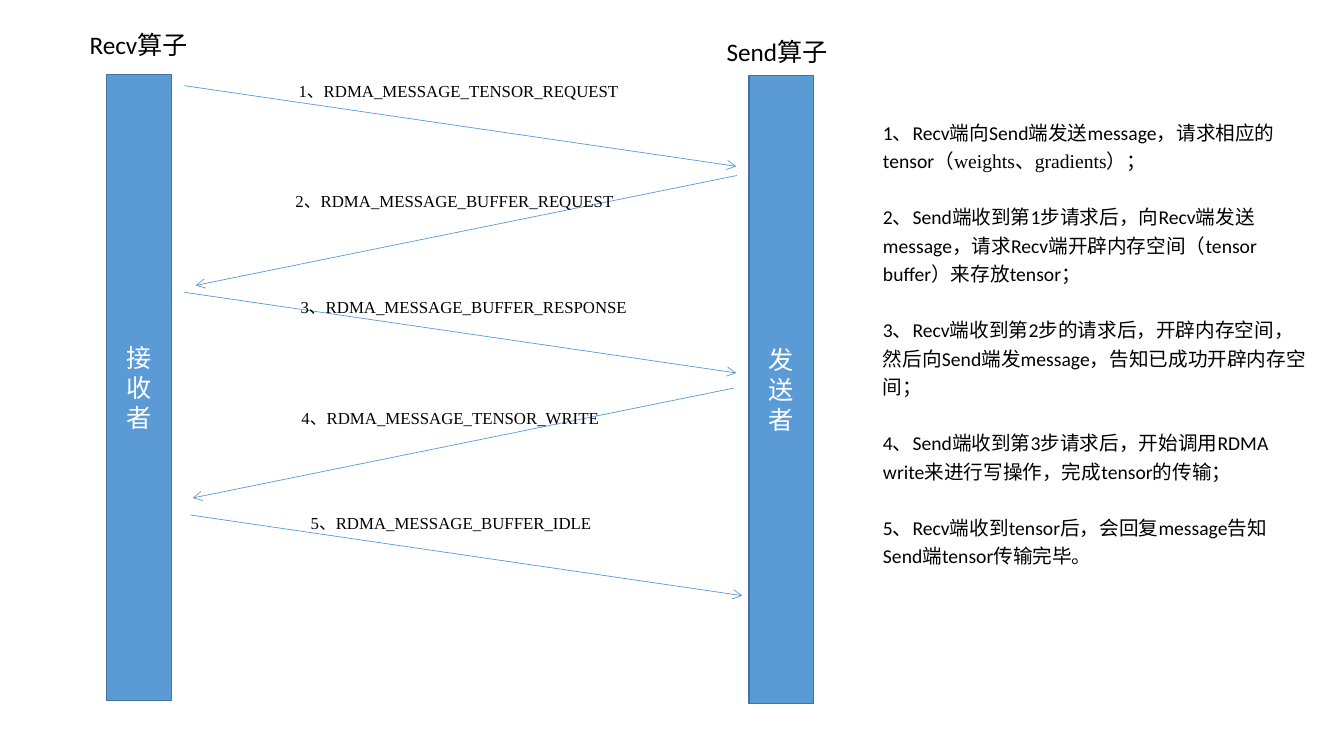
from lxml import etree
from pptx import Presentation
from pptx.dml.color import RGBColor
from pptx.enum.shapes import MSO_CONNECTOR, MSO_SHAPE
from pptx.enum.text import MSO_ANCHOR, MSO_AUTO_SIZE, PP_ALIGN
from pptx.oxml.ns import qn
from pptx.util import Pt

RECT, STRAIGHT = MSO_SHAPE.RECTANGLE, MSO_CONNECTOR.STRAIGHT
TOP, MIDDLE = MSO_ANCHOR.TOP, MSO_ANCHOR.MIDDLE
LEFT, CENTER = PP_ALIGN.LEFT, PP_ALIGN.CENTER
NO_AUTOFIT = MSO_AUTO_SIZE.NONE

COLORS = {"bar": "5B9BD5", "edge": "43739E", "text": "000000", "on_bar": "FFFFFF"}
SANS, SERIF = "Calibri", "Times New Roman"

# heading, heading box, bar text, bar box (left, top, width, height)
ENDPOINTS = [
    ("Recv算子", (56.9, 17.3, 96, 29), "接收者", (76.3, 53.3, 46.1, 447.1)),
    ("Send算子", (512, 22.3, 92, 29), "发送者", (535, 54, 46.1, 448.6)),
]
# label, label left and top, arrow start
MESSAGES = [
    ("1、RDMA_MESSAGE_TENSOR_REQUEST", (206.2, 54), (131.8, 61.2)),
    ("2、RDMA_MESSAGE_BUFFER_REQUEST", (204, 132.5), (526.3, 125.4)),
    ("3、RDMA_MESSAGE_BUFFER_RESPONSE", (207.6, 208.1), (131.8, 208.8)),
    ("4、RDMA_MESSAGE_TENSOR_WRITE", (208.3, 288), (524.2, 277.2)),
    ("5、RDMA_MESSAGE_BUFFER_IDLE", (214.8, 362.9), (136.1, 367.9)),
]
# Odd messages go to the sender, even ones come back
TO_SENDER, TO_RECEIVER = (394.2, 57.6), (-386.6, 78.5)
LABEL_SIZE = (260, 24)

# each step is a list of (text, font)
STEPS = [
    [("1、Recv端向Send端发送message，请求相应的tensor（", SANS),
     ("weights、gradients", SERIF), ("）；", SANS)],
    [("2、Send端收到第1步请求后，向Recv端发送message，"
      "请求Recv端开辟内存空间（tensor buffer）来存放tensor；", SANS)],
    [("3、Recv端收到第2步的请求后，开辟内存空间，"
      "然后向Send端发message，告知已成功开辟内存空间；", SANS)],
    [("4、Send端收到第3步请求后，开始调用RDMA write来进行写操作，"
      "完成tensor的传输；", SANS)],
    [("5、Recv端收到tensor后，会回复message告知Send端tensor传输完毕。", SANS)],
]
STEPS_BOX = (623.5, 79.2, 316.8, 350)
STEP_GAP = 20.2


def rgb(name):
    """Return the named colour."""
    return RGBColor.from_string(COLORS[name])


def in_points(values):
    """Convert numbers to point lengths."""
    return [Pt(value) for value in values]


def style_font(font, size, face, color="text"):
    """Set size, typeface and colour of a font."""
    font.size, font.name = Pt(size), face
    font.color.rgb = rgb(color)


def add_label(slide, text, box, size, face):
    """Add one line of text."""
    frame = slide.shapes.add_textbox(*in_points(box)).text_frame
    frame.word_wrap = True
    frame.text = text
    style_font(frame.paragraphs[0].runs[0].font, size, face)


def add_bar(slide, text, box):
    """Add the tall bar of one endpoint."""
    bar = slide.shapes.add_shape(RECT, *in_points(box))
    bar.shadow.inherit = False
    bar.fill.solid()
    bar.fill.fore_color.rgb = rgb("bar")
    bar.line.color.rgb = rgb("edge")
    bar.line.width = Pt(1)
    frame = bar.text_frame
    frame.word_wrap = True
    frame.vertical_anchor = MIDDLE
    frame.text = text
    frame.paragraphs[0].alignment = CENTER
    style_font(frame.paragraphs[0].runs[0].font, 18, SANS, "on_bar")


def add_arrow(slide, start, step):
    """Add an open-headed arrow running by step from start."""
    end = [begin + move for begin, move in zip(start, step)]
    arrow = slide.shapes.add_connector(STRAIGHT, *in_points([*start, *end]))
    arrow.line.color.rgb = rgb("bar")
    arrow.line.width = Pt(0.5)
    etree.SubElement(arrow.line._get_or_add_ln(), qn("a:tailEnd"), type="arrow")
    etree.SubElement(arrow._element.spPr, qn("a:effectLst"))


def fill_steps(body):
    """Place the body placeholder and write the explained steps in it."""
    body.left, body.top, body.width, body.height = in_points(STEPS_BOX)
    frame = body.text_frame
    frame.auto_size = NO_AUTOFIT
    frame.word_wrap = True
    frame.vertical_anchor = TOP
    for index, step in enumerate(STEPS):
        paragraph = frame.add_paragraph() if index else frame.paragraphs[0]
        paragraph.alignment = LEFT
        paragraph.line_spacing = 1.2
        paragraph.space_before = Pt(0)
        paragraph.space_after = Pt(STEP_GAP)
        properties = paragraph._p.get_or_add_pPr()
        properties.set("marL", "0")
        properties.set("indent", "0")
        etree.SubElement(properties, qn("a:buNone"))
        for text, face in step:
            run = paragraph.add_run()
            run.text = text
            style_font(run.font, 14, face)


def build():
    """Build the message exchange slide and save it."""
    deck = Presentation()
    deck.slide_width, deck.slide_height = Pt(960), Pt(540)
    slide = deck.slides.add_slide(deck.slide_layouts[1])
    title = slide.shapes.title._element
    title.getparent().remove(title)
    fill_steps(slide.placeholders[1])
    for heading, heading_box, role, bar_box in ENDPOINTS:
        add_bar(slide, role, bar_box)
        add_label(slide, heading, heading_box, 18, SANS)
    for index, (label, corner, start) in enumerate(MESSAGES):
        add_arrow(slide, start, TO_RECEIVER if index % 2 else TO_SENDER)
        add_label(slide, label, (*corner, *LABEL_SIZE), 12, SERIF)
    deck.save("out.pptx")


build()
